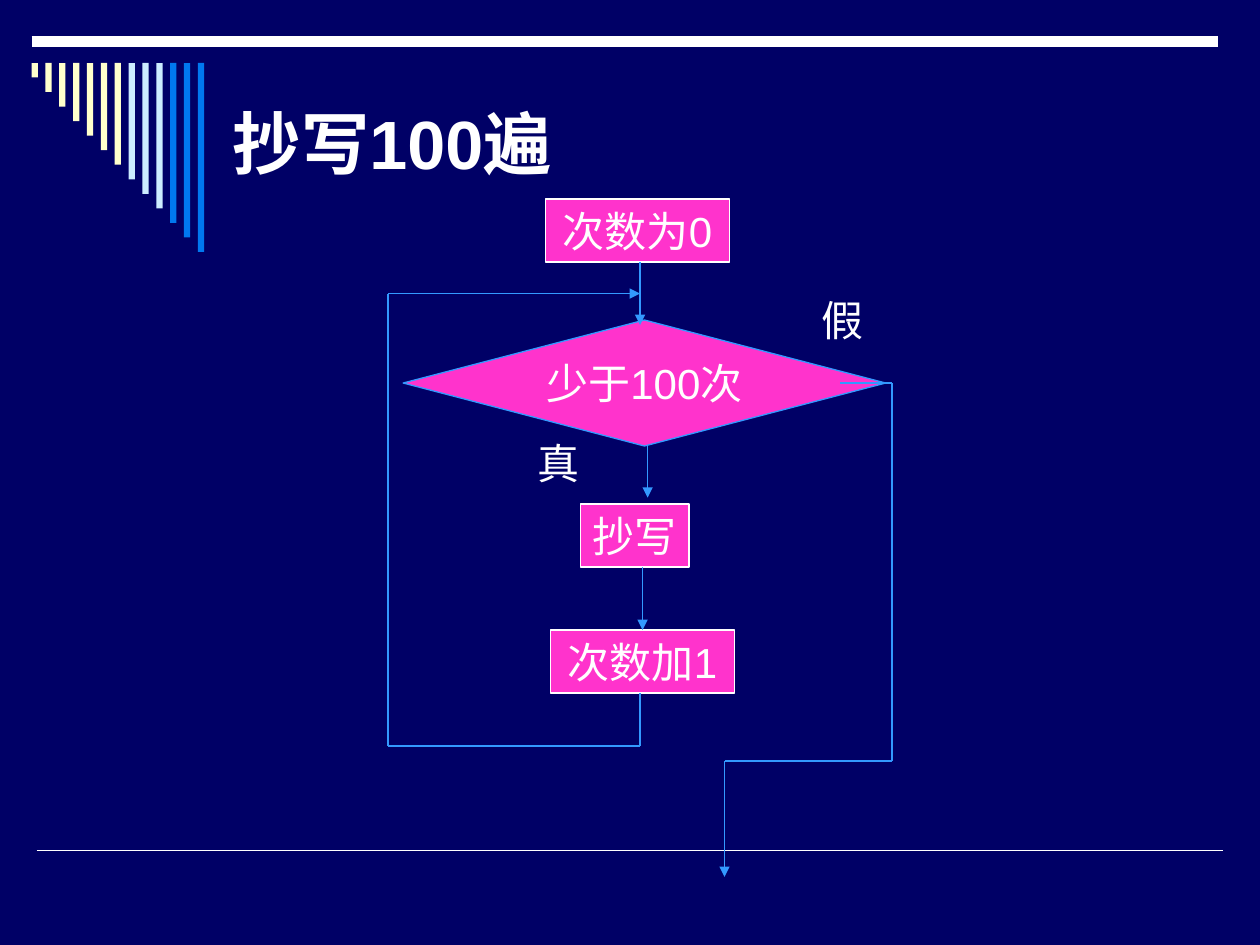
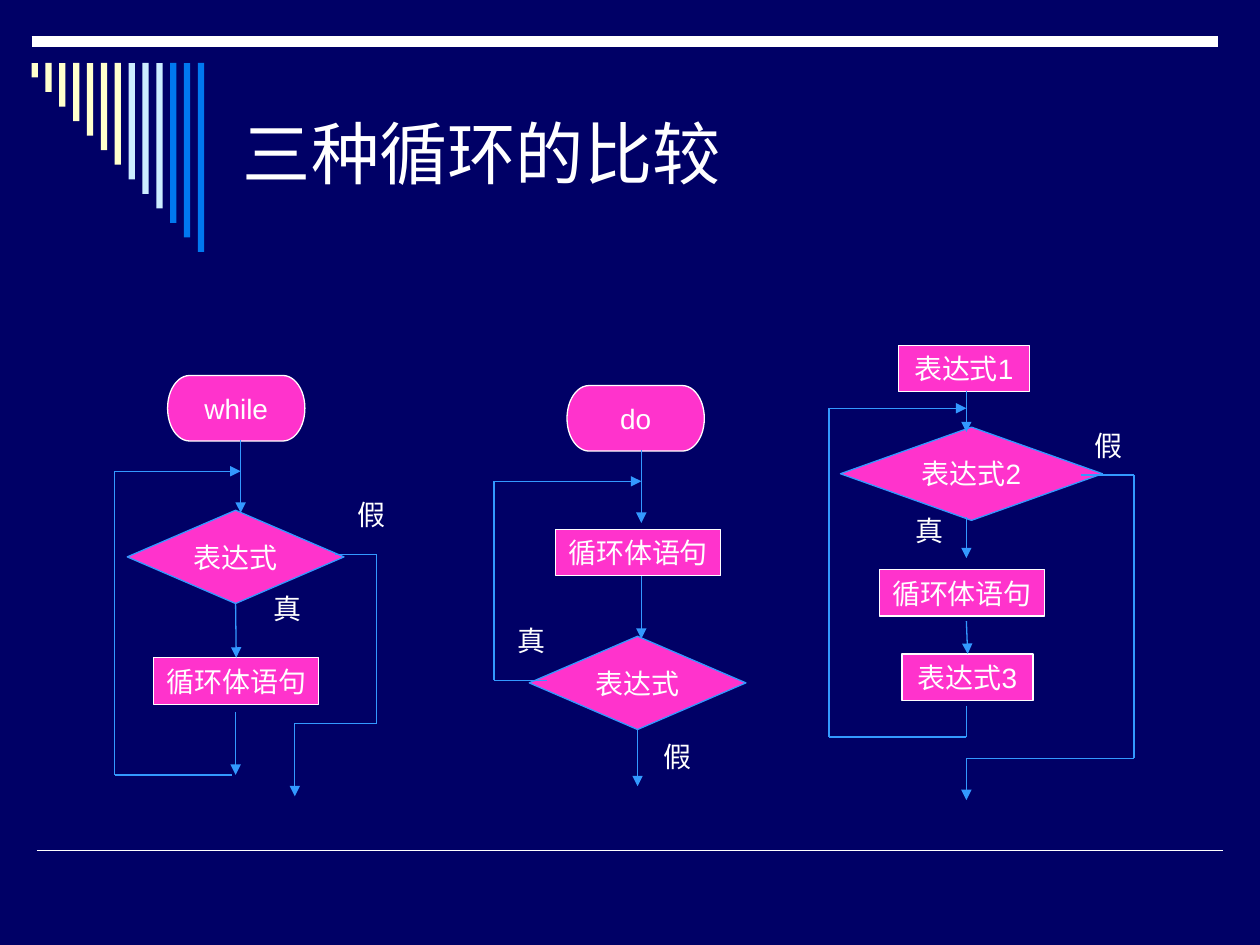
"""Builds two slides of loop flowcharts."""
from itertools import pairwise

from lxml import etree
from pptx import Presentation
from pptx import util as u
from pptx.dml.color import RGBColor
from pptx.enum import shapes, text
from pptx.oxml.ns import qn

NAVY, WHITE, PINK, BLUE = "000066", "FFFFFF", "FF33CC", "3399FF"
BARS = ["FFFFCC"] * 7 + ["CCECFF"] * 3 + ["0078F0"] * 3
BOX = shapes.MSO_SHAPE.RECTANGLE
TEST = shapes.MSO_SHAPE.FLOWCHART_DECISION
CAP = shapes.MSO_SHAPE.FLOWCHART_TERMINATOR


def tint(part, color):
    """Give a fill a solid colour."""
    part.solid()
    part.fore_color.rgb = RGBColor.from_string(color)


def write(frame, words, size=16, bold=False, align=text.PP_ALIGN.CENTER, wrap=False):
    """Put one formatted paragraph into a text frame."""
    frame.word_wrap = wrap
    frame.vertical_anchor = text.MSO_ANCHOR.MIDDLE
    line = frame.paragraphs[0]
    line.alignment = align
    run = line.add_run()
    run.text = words
    run.font.name, run.font.size, run.font.bold = "Arial", u.Pt(size), bold
    run.font.color.rgb = RGBColor.from_string(WHITE)


class Deck:
    """Holds the style and the current slide."""

    def __init__(self):
        """Start an empty deck."""
        self.prs = Presentation()
        self.prs.slide_width, self.prs.slide_height = u.Inches(10), u.Inches(7.5)

    def page(self, title, at, size, bold=False):
        """Add a slide with its frame and title."""
        self.slide = self.prs.slides.add_slide(self.prs.slide_layouts[6])
        self.size = size
        tint(self.slide.background.fill, NAVY)
        self.wire(0.29, 6.75, 9.71, 6.75, color=WHITE, width=1)
        self.wire(0.25, 0.33, 9.67, 0.33, color=WHITE, width=6)
        for i, color in enumerate(BARS):
            self.form(BOX, (0.25 + 0.11 * i, 0.5, 0.05, 1.5 * (i + 1) / len(BARS)), color)
        box = self.slide.shapes.add_textbox(*map(u.Inches, at))
        write(box.text_frame, title, size=39, bold=bold,
              align=text.PP_ALIGN.LEFT, wrap=True)

    def form(self, kind, at, fill, line=None):
        """Add a preset shape."""
        shape = self.slide.shapes.add_shape(kind, *map(u.Inches, at))
        shape.shadow.inherit = False
        tint(shape.fill, fill)
        if line:
            tint(shape.line.fill, line)
            shape.line.width = u.Pt(0.75)
        else:
            shape.line.fill.background()
        return shape

    def node(self, words, kind, *at):
        """Add a flowchart step."""
        shape = self.form(kind, at, PINK, BLUE if kind == TEST else WHITE)
        write(shape.text_frame, words, size=self.size)
        return shape

    def label(self, words, *at):
        """Add a branch label."""
        box = self.slide.shapes.add_textbox(*map(u.Inches, at))
        write(box.text_frame, words, size=self.size)

    def wire(self, x, y, x2, y2, head=False, color=BLUE, width=0.75, start=None, end=None):
        """Add a straight line, joined to shapes when they are given."""
        line = self.slide.shapes.add_connector(
            shapes.MSO_CONNECTOR.STRAIGHT, *map(u.Inches, (x, y, x2, y2)))
        if start:
            line.begin_connect(start, 2)
        if end:
            line.end_connect(end, 0)
        tint(line.line.fill, color)
        line.line.width = u.Pt(width)
        if head:
            etree.SubElement(line.line._get_or_add_ln(), qn("a:tailEnd"), type="triangle")
        etree.SubElement(line._element.spPr, qn("a:effectLst"))

    def arrow(self, x, y, y2, **joins):
        """Add a downward arrow."""
        self.wire(x, y, x, y2, head=True, **joins)

    def route(self, *points):
        """Draw a bent path that ends in an arrow."""
        legs = list(pairwise(points))
        for i, (a, b) in enumerate(legs, 1):
            self.wire(*a, *b, head=i == len(legs))


def copy_page(deck):
    """Build the flowchart of copying a hundred times."""
    deck.page("抄写100遍", (1.75, 0.43, 7.75, 1.4), 24, bold=True)
    deck.node("少于100次", TEST, 3.2, 2.54, 3.83, 1)
    deck.node("抄写", BOX, 4.61, 4, 0.86, 0.5)
    deck.node("次数为0", BOX, 4.33, 1.58, 1.46, 0.5)
    add = deck.node("次数加1", BOX, 4.37, 5, 1.46, 0.5)
    deck.label("真", 4.17, 3.42, 0.53, 0.5)
    deck.label("假", 6.42, 2.29, 0.53, 0.5)
    deck.arrow(5.08, 2.08, 2.58)
    deck.arrow(5.14, 3.53, 3.95)
    deck.arrow(5.1, 4.5, 5, end=add)
    deck.route((5.08, 5.5), (5.08, 5.92), (3.08, 5.92), (3.08, 2.33), (5.08, 2.33))
    deck.route((6.67, 3.04), (7.08, 3.04), (7.08, 6.04), (5.75, 6.04), (5.75, 6.96))


def while_loop(deck):
    """Draw the while loop."""
    deck.node("while", CAP, 1.33, 2.98, 1.09, 0.52)
    test = deck.node("表达式", TEST, 1.01, 4.05, 1.72, 0.74)
    body = deck.node("循环体语句", BOX, 1.22, 5.22, 1.31, 0.37)
    deck.label("真", 2.07, 4.64, 0.42, 0.37)
    deck.label("假", 2.74, 3.9, 0.42, 0.37)
    deck.arrow(1.91, 3.49, 4.07)
    deck.arrow(1.87, 4.79, 5.22, start=test, end=body)
    deck.arrow(1.87, 5.65, 6.15)
    deck.route((1.84, 6.15), (0.91, 6.15), (0.91, 3.74), (1.91, 3.74))
    deck.route((2.66, 4.4), (2.99, 4.4), (2.99, 5.74), (2.34, 5.74), (2.34, 6.32))


def do_loop(deck):
    """Draw the do loop."""
    deck.node("do", CAP, 4.5, 3.06, 1.09, 0.52)
    test = deck.node("表达式", TEST, 4.2, 5.05, 1.72, 0.74)
    deck.node("循环体语句", BOX, 4.41, 4.2, 1.31, 0.37)
    deck.label("真", 4.01, 4.9, 0.42, 0.37)
    deck.label("假", 5.17, 5.82, 0.42, 0.37)
    deck.arrow(5.09, 3.57, 4.15)
    deck.arrow(5.09, 4.57, 5.07)
    deck.arrow(5.06, 5.79, 6.24, start=test)
    deck.route((4.34, 5.4), (3.92, 5.4), (3.92, 3.82), (5.09, 3.82))


def for_loop(deck):
    """Draw the for loop."""
    deck.node("表达式2", TEST, 6.67, 3.39, 2.08, 0.74)
    deck.node("循环体语句", BOX, 6.98, 4.52, 1.31, 0.37)
    deck.node("表达式1", BOX, 7.13, 2.74, 1.04, 0.37)
    step = deck.node("表达式3", BOX, 7.16, 5.19, 1.04, 0.37)
    deck.label("真", 7.17, 4.02, 0.42, 0.37)
    deck.label("假", 8.59, 3.35, 0.42, 0.37)
    deck.arrow(7.67, 3.1, 3.43)
    deck.arrow(7.67, 4.1, 4.43)
    deck.arrow(7.67, 4.93, 5.19, end=step)
    deck.route((7.67, 5.6), (7.67, 5.85), (6.58, 5.85), (6.58, 3.24), (7.67, 3.24))
    deck.route((8.58, 3.77), (9, 3.77), (9, 6.02), (7.67, 6.02), (7.67, 6.35))


def main():
    """Build and save the deck."""
    deck = Deck()
    copy_page(deck)
    deck.page("三种循环的比较", (1.83, 0.5, 7.67, 1.42), 16)
    for draw in (for_loop, do_loop, while_loop):
        draw(deck)
    deck.prs.save("out.pptx")


if __name__ == "__main__":
    main()
